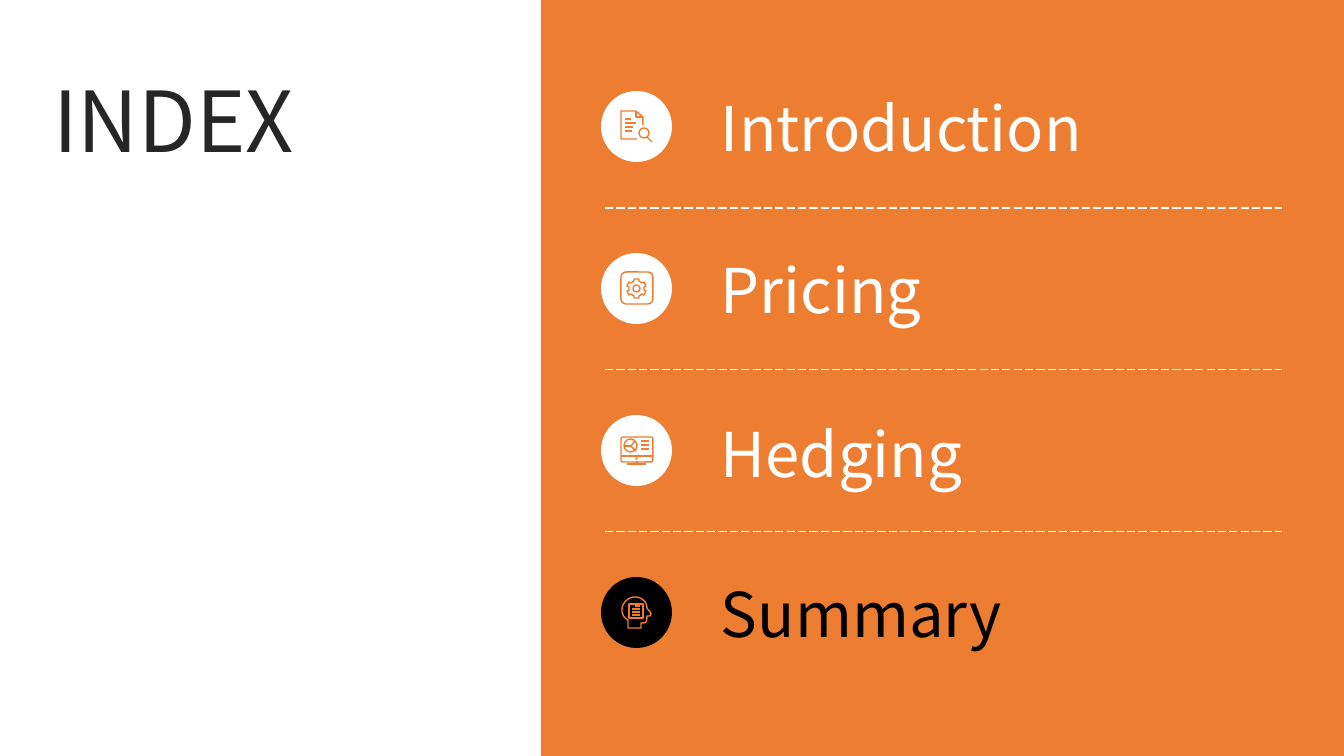
import pptx
import pptx.dml.color
import pptx.enum.dml
import pptx.enum.shapes
import pptx.enum.text
import pptx.oxml.ns
import pptx.util

# Icon parts are px offsets from the corner of the disc behind the icon.
# In an outline, six numbers make a cubic curve and two make a straight step.
DOCUMENT = [
    ("line", (24, 28, 30, 28)), ("line", (24, 32, 35, 32)),
    ("line", (24, 36, 32, 36)), ("line", (24, 40, 31, 40)),
    ("ellipse", (38, 37, 10, 10)), ("line", (46, 46, 51, 51)),
    ("open", [(36, 48), (20, 48), (20, 20), (35, 20), (42, 26), (42, 34)]),
    ("open", [(35, 20), (35, 26), (42, 26)]),
]
GEAR = [
    ("rounded", (20, 19, 32, 32, 5)), ("ellipse", (32, 32, 7, 7)),
    ("closed", [
        (43, 36), (43, 34), (45, 33), (43, 29), (41, 30), (38, 28), (38, 26),
        (33, 26), (33, 28), (30, 30), (28, 29), (26, 33), (28, 34), (28, 37),
        (26, 38), (28, 42), (30, 41), (33, 43), (33, 45), (38, 45), (38, 43),
        (41, 41), (43, 42), (45, 38), (43, 37)]),
]
SCREEN = [
    ("rounded", (20, 22, 32, 25, 2)), ("line", (26, 49, 45, 49)),
    ("line", (36, 46, 36, 49)), ("ellipse", (35, 43, 1, 1)),
    ("line", (20, 41, 51, 41)), ("ellipse", (23, 24, 13, 13)),
    ("open", [(34, 26), (30, 31), (35, 36)]), ("line", (30, 31, 23, 31)),
    ("line", (40, 26, 48, 26)), ("line", (40, 30, 48, 30)),
    ("line", (40, 34, 48, 34)),
]
HEAD = [
    ("closed", [
        (46, 31), (46, 24, 40, 20, 34, 20), (27, 20, 21, 26, 21, 33),
        (21, 37, 23, 41, 27, 43), (27, 51), (40, 51), (40, 46),
        (43, 46, 44, 46, 45, 45), (46, 44, 46, 39, 46, 39), (49, 39),
        (50, 37), (50, 35, 46, 32, 46, 31)]),
    ("line", (34, 29, 39, 29)), ("line", (31, 32, 39, 32)),
    ("line", (31, 35, 39, 35)), ("line", (31, 38, 39, 38)),
    ("rect", (28, 27, 14, 14)),
]
TITLE = "INDEX"
# Label, its top in px, icon, colour of label and disc
CHAPTERS = [
    ("Introduction", 90, DOCUMENT, "white"),
    ("Pricing", 252, GEAR, "white"),
    ("Hedging", 416, SCREEN, "white"),
    ("Summary", 576, HEAD, "black"),
]
COLORS = {"orange": "ED7D31", "white": "FFFFFF", "black": "000000", "ink": "262626"}
FONT = "Noto Sans CJK KR"
WIDTH, HEIGHT = 1344, 756
PANEL_LEFT = 541
DISC_LEFT, DISC_TOP, DISC_SIZE, STEP = 601, 91, 71, 162
RULE_LEFT, RULE_RIGHT, RULE_DROP = 605, 1282, 117
LABEL_LEFT, LABEL_WIDTH, LABEL_HEIGHT = 721, 575, 75
CURVE_STEPS = 8

SHAPES = pptx.enum.shapes.MSO_SHAPE
PRESETS = {"ellipse": SHAPES.OVAL, "rect": SHAPES.RECTANGLE,
           "rounded": SHAPES.ROUNDED_RECTANGLE}


def px(length):
    return round(length * 914400 / 100.8)


def rgb(name):
    return pptx.dml.color.RGBColor.from_string(COLORS[name])


def add_preset(shapes, kind, box, fill=None):
    preset = shapes.add_shape(PRESETS[kind], *map(px, box))
    preset.shadow.inherit = False
    if fill:
        preset.fill.solid()
        preset.fill.fore_color.rgb = rgb(fill)
        preset.line.fill.background()
    else:
        draw_stroke(preset)
    return preset


def draw_stroke(outline):
    outline.fill.background()
    outline.line.color.rgb = rgb("orange")
    outline.line.width = pptx.util.Pt(1)


def add_line(shapes, ends, color, width):
    line = shapes.add_connector(pptx.enum.shapes.MSO_CONNECTOR.STRAIGHT, *map(px, ends))
    line.line.color.rgb = rgb(color)
    line.line.width = pptx.util.Pt(width)
    line._element.spPr.append(pptx.oxml.parse_xml(
        f"<a:effectLst {pptx.oxml.ns.nsdecls('a')}/>"))
    return line


def flatten(steps):
    """Turn straight and curved steps into a list of points."""
    points = [steps[0]]
    for step in steps[1:]:
        if len(step) == 2:
            points.append(step)
            continue
        corners = [points[-1], step[:2], step[2:4], step[4:]]
        for count in range(1, CURVE_STEPS + 1):
            t = count / CURVE_STEPS
            weights = ((1 - t) ** 3, 3 * t * (1 - t) ** 2, 3 * t * t * (1 - t), t ** 3)
            points.append(tuple(sum(w * corner[axis] for w, corner in zip(weights, corners))
                                for axis in (0, 1)))
    return points


def add_outline(shapes, steps, left, top, close):
    points = [(px(left + x), px(top + y)) for x, y in flatten(steps)]
    builder = shapes.build_freeform(*points[0])
    builder.add_line_segments(points[1:], close=close)
    outline = builder.convert_to_shape()
    outline.shadow.inherit = False
    draw_stroke(outline)


def add_icon(slide, parts, left, top):
    icon = slide.shapes.add_group_shape().shapes
    for kind, data in parts:
        if kind == "line":
            x1, y1, x2, y2 = data
            add_line(icon, (left + x1, top + y1, left + x2, top + y2), "orange", 1)
        elif kind in PRESETS:
            x, y, width, height, *radius = data
            preset = add_preset(icon, kind, (left + x, top + y, width, height))
            if radius:
                preset.adjustments[0] = radius[0] / min(width, height)
        else:
            add_outline(icon, data, left, top, kind == "closed")


def write(frame, text, size, color, **frame_format):
    frame.word_wrap = True
    for name, value in frame_format.items():
        setattr(frame, name, value)
    paragraph = frame.paragraphs[0]
    paragraph.alignment = pptx.enum.text.PP_ALIGN.LEFT
    run = paragraph.add_run()
    run.text = text
    for name, value in {"name": FONT, "size": pptx.util.Pt(size)}.items():
        setattr(run.font, name, value)
    run.font.color.rgb = rgb(color)
    return paragraph


def main():
    deck = pptx.Presentation()
    deck.slide_width, deck.slide_height = px(WIDTH), px(HEIGHT)
    slide = deck.slides.add_slide(deck.slide_layouts[5])

    add_preset(slide.shapes, "rect", (PANEL_LEFT, 0, WIDTH - PANEL_LEFT, HEIGHT), "orange")

    title = slide.shapes.title
    title.left, title.top, title.width, title.height = map(px, (43, 40, 463, 171))
    heading = write(title.text_frame, TITLE, 60, "ink",
                    vertical_anchor=pptx.enum.text.MSO_ANCHOR.MIDDLE,
                    auto_size=pptx.enum.text.MSO_AUTO_SIZE.NONE)
    heading.line_spacing = 0.9

    for index, (label, label_top, icon, color) in enumerate(CHAPTERS):
        top = DISC_TOP + index * STEP
        entry = slide.shapes.add_textbox(
            *map(px, (LABEL_LEFT, label_top, LABEL_WIDTH, LABEL_HEIGHT)))
        write(entry.text_frame, label, 44, color,
              margin_left=0, margin_top=0, margin_right=0, margin_bottom=0,
              auto_size=pptx.enum.text.MSO_AUTO_SIZE.SHAPE_TO_FIT_TEXT)
        add_preset(slide.shapes, "ellipse", (DISC_LEFT, top, DISC_SIZE, DISC_SIZE), color)
        add_icon(slide, icon, DISC_LEFT, top)
        if index < len(CHAPTERS) - 1:
            rule_top = top + RULE_DROP
            rule = add_line(slide.shapes, (RULE_LEFT, rule_top, RULE_RIGHT, rule_top),
                            "white", 0.75)
            rule.line.dash_style = pptx.enum.dml.MSO_LINE.LONG_DASH

    deck.save("out.pptx")


if __name__ == "__main__":
    main()
